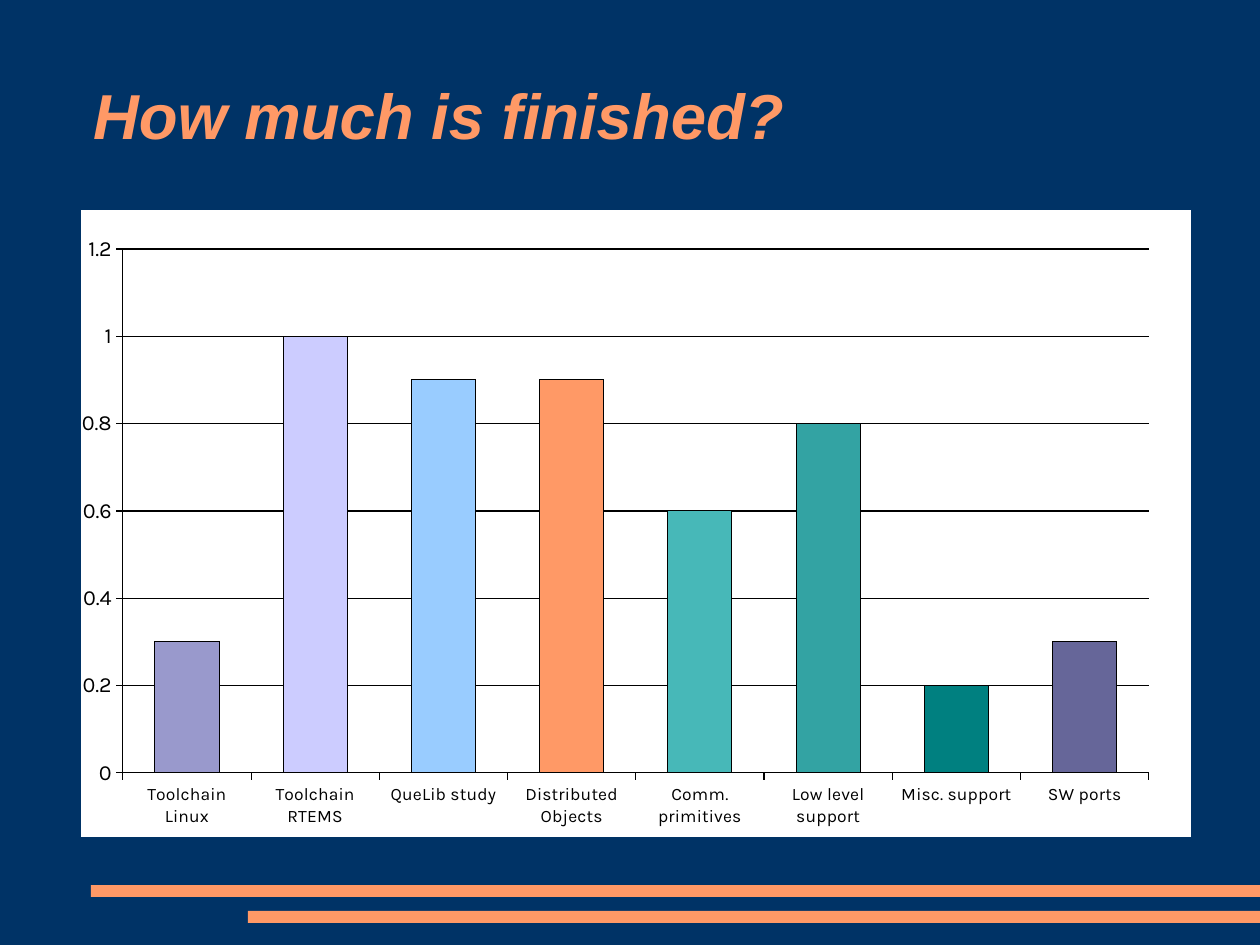
from lxml import etree
from pptx import Presentation
from pptx.chart.data import CategoryChartData
from pptx.dml.color import RGBColor
from pptx.enum.chart import XL_CHART_TYPE as ChartType
from pptx.enum.chart import XL_TICK_LABEL_POSITION as LabelPosition
from pptx.enum.chart import XL_TICK_MARK as TickMark
from pptx.enum.shapes import MSO_SHAPE as Shape
from pptx.enum.text import MSO_ANCHOR as Anchor
from pptx.enum.text import MSO_AUTO_SIZE as AutoSize
from pptx.enum.text import PP_ALIGN as Align
from pptx.oxml import parse_xml
from pptx.oxml.ns import nsdecls, qn
from pptx.util import Pt

NAVY = RGBColor(0x00, 0x33, 0x66)
ORANGE = RGBColor(0xFF, 0x99, 0x66)
BLACK = RGBColor(0x00, 0x00, 0x00)
WHITE = RGBColor(0xFF, 0xFF, 0xFF)

TITLE = "How much is finished?"
PROGRESS = [
    ("Toolchain Linux", 0.3, RGBColor(0x99, 0x99, 0xCC)),
    ("Toolchain RTEMS", 1, RGBColor(0xCC, 0xCC, 0xFF)),
    ("QueLib study", 0.9, RGBColor(0x99, 0xCC, 0xFF)),
    ("Distributed Objects", 0.9, ORANGE),
    ("Comm. primitives", 0.6, RGBColor(0x47, 0xB8, 0xB8)),
    ("Low level support", 0.8, RGBColor(0x33, 0xA3, 0xA3)),
    ("Misc. support", 0.2, RGBColor(0x00, 0x80, 0x80)),
    ("SW ports", 0.3, RGBColor(0x66, 0x66, 0x99)),
]

# Lengths in px
EMU_PER_PX = 8000
SLIDE_WIDTH, SLIDE_HEIGHT = 1260, 945
TITLE_BOX = (93, 35, 1076, 158)
CHART_BOX = (81, 210, 1110, 627)
PLOT_BOX = (123, 249, 1026, 524)
STRIPES = [(91, 885), (248, 911)]
STRIPE_HEIGHT = 12


def emu(*lengths):
    return [length * EMU_PER_PX for length in lengths]


def add_stripe(slide, left, top):
    box = emu(left, top, SLIDE_WIDTH - left, STRIPE_HEIGHT)
    stripe = slide.shapes.add_shape(Shape.RECTANGLE, *box)
    stripe.shadow.inherit = False
    stripe.fill.solid()
    stripe.fill.fore_color.rgb = ORANGE
    stripe.line.fill.background()


def format_title(title):
    title.left, title.top, title.width, title.height = emu(*TITLE_BOX)
    frame = title.text_frame
    frame.text = TITLE
    frame.auto_size = AutoSize.NONE
    frame.vertical_anchor = Anchor.MIDDLE
    frame.margin_left = frame.margin_right = 0
    frame.margin_top = frame.margin_bottom = 0
    paragraph = frame.paragraphs[0]
    paragraph.alignment = Align.LEFT
    font = paragraph.runs[0].font
    font.name, font.size = "Arial", Pt(40)
    font.bold = font.italic = True
    font.color.rgb = ORANGE


def set_hairline(line):
    line.color.rgb = BLACK
    line.width = Pt(0)


def set_font(font, name, size):
    font.name, font.size = name, Pt(size)
    font.color.rgb = BLACK


def format_axis(axis, size):
    set_font(axis.tick_labels.font, "Karla", size)
    axis.major_tick_mark = TickMark.OUTSIDE
    axis.minor_tick_mark = TickMark.NONE
    set_hairline(axis.format.line)


def place_plot(chart):
    """Fix the inner plot area as fractions of the chart frame."""
    plot_area = chart.element.find(".//" + qn("c:plotArea"))
    for layout in plot_area.findall(qn("c:layout")):
        plot_area.remove(layout)
    left, top, width, height = CHART_BOX
    plot_left, plot_top, plot_width, plot_height = PLOT_BOX
    settings = [
        ("layoutTarget", "inner"), ("xMode", "edge"), ("yMode", "edge"),
        ("x", round((plot_left - left) / width, 4)),
        ("y", round((plot_top - top) / height, 4)),
        ("w", round(plot_width / width, 4)),
        ("h", round(plot_height / height, 4)),
    ]
    layout = parse_xml(f"<c:layout {nsdecls('c')}><c:manualLayout/></c:layout>")
    for name, value in settings:
        etree.SubElement(layout[0], qn("c:" + name)).set("val", str(value))
    plot_area.insert(0, layout)


def fill_chart_area(chart):
    chart.element.find(qn("c:chart")).addnext(parse_xml(
        f"<c:spPr {nsdecls('c', 'a')}><a:solidFill><a:srgbClr val='{WHITE}'/>"
        "</a:solidFill><a:ln><a:noFill/></a:ln></c:spPr>"))


def add_progress_chart(slide):
    data = CategoryChartData()
    data.categories = [name for name, _, _ in PROGRESS]
    data.add_series("Series 1", [value for _, value, _ in PROGRESS])
    chart = slide.shapes.add_chart(
        ChartType.COLUMN_STACKED, *emu(*CHART_BOX), data).chart
    chart.has_title = chart.has_legend = False
    set_font(chart.font, "Arial", 10)

    plot = chart.plots[0]
    plot.gap_width = plot.overlap = 100
    plot.vary_by_categories = False
    for index, (_, _, color) in enumerate(PROGRESS):
        column = plot.series[0].points[index].format
        column.fill.solid()
        column.fill.fore_color.rgb = color
        set_hairline(column.line)

    format_axis(chart.category_axis, 11)
    chart.category_axis.tick_label_position = LabelPosition.LOW
    value_axis = chart.value_axis
    format_axis(value_axis, 13.6)
    value_axis.minimum_scale, value_axis.maximum_scale = 0, 1.2
    value_axis.major_unit = 0.2
    value_axis.has_major_gridlines = True
    set_hairline(value_axis.major_gridlines.format.line)
    place_plot(chart)
    fill_chart_area(chart)


def main():
    presentation = Presentation()
    presentation.slide_width, presentation.slide_height = emu(
        SLIDE_WIDTH, SLIDE_HEIGHT)
    slide = presentation.slides.add_slide(presentation.slide_layouts[5])
    slide.background.fill.solid()
    slide.background.fill.fore_color.rgb = NAVY
    for left, top in STRIPES:
        add_stripe(slide, left, top)
    format_title(slide.shapes.title)
    add_progress_chart(slide)
    presentation.save("out.pptx")


if __name__ == "__main__":
    main()
